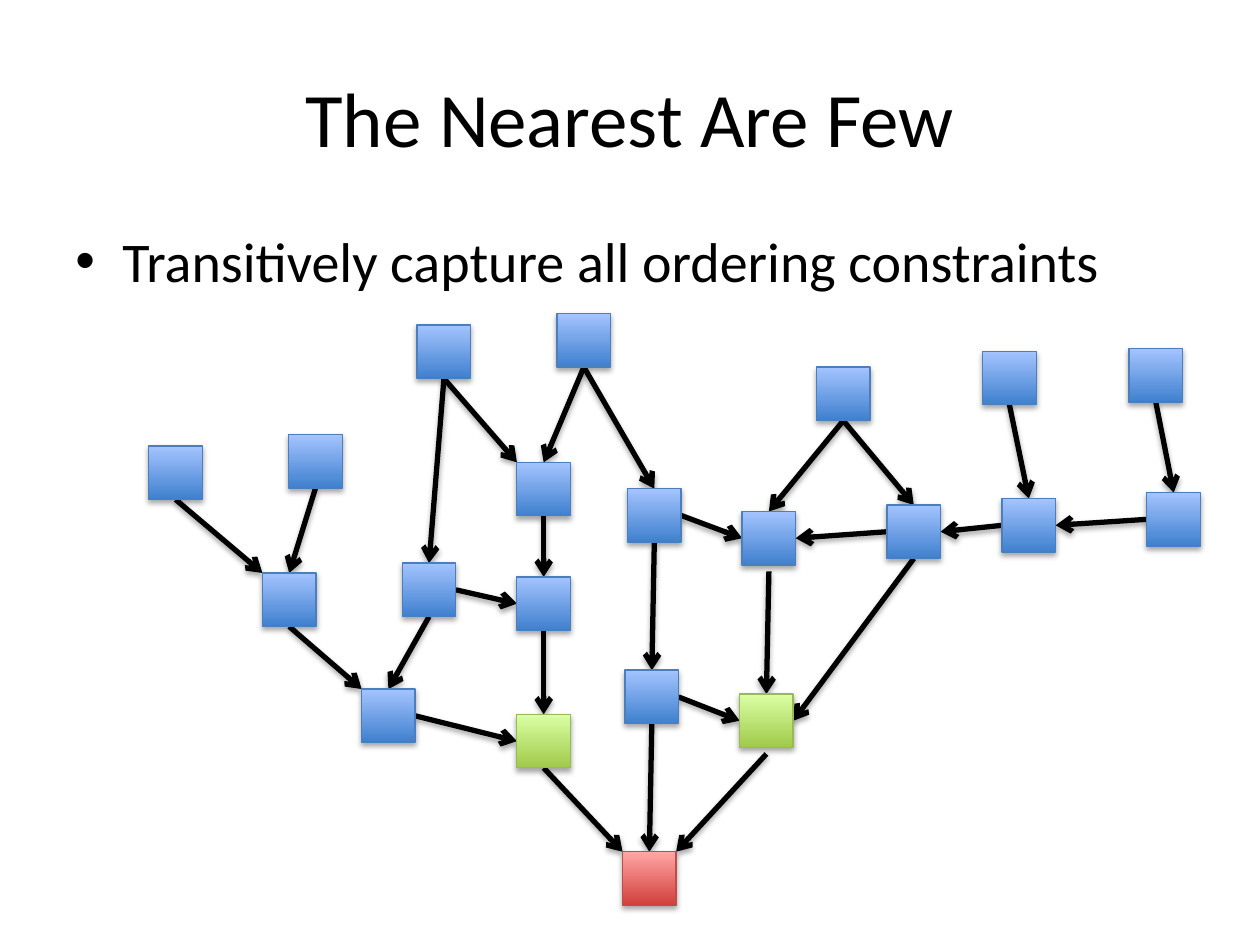
from lxml import etree
from pptx import Presentation
from pptx.dml.color import RGBColor
from pptx.enum.shapes import MSO_CONNECTOR, MSO_SHAPE
from pptx.enum.text import MSO_ANCHOR, PP_ALIGN
from pptx.oxml import parse_xml
from pptx.oxml.ns import qn
from pptx.util import Cm, Pt

RECT, STRAIGHT = MSO_SHAPE.RECTANGLE, MSO_CONNECTOR.STRAIGHT
TOP, MIDDLE = MSO_ANCHOR.TOP, MSO_ANCHOR.MIDDLE
LEFT, CENTER = PP_ALIGN.LEFT, PP_ALIGN.CENTER
NS = "http://schemas.openxmlformats.org/drawingml/2006/main"

COLORS = {"text": "000000", "edge": "000000"}
NODE_COLORS = {  # bottom, top, outline
    "blue": ("3F80CE", "A4C4FF", "4B7EBC"),
    "green": ("A0CA4A", "DAFFA5", "98B955"),
    "red": ("D1403C", "FFA6A5", "BF4C48"),
}
SIDE = 1.08

# Top left corner of each node in cm, row by row; inputs are in1 to in7
NODES = {
    "in1": (0, 2.67), "in2": (2.82, 2.44), "in3": (5.41, 0.23), "in4": (8.23, 0),
    "in5": (13.46, 1.08), "in6": (16.81, 0.76), "in7": (19.76, 0.71),
    "up1": (7.42, 3), "up2": (9.65, 3.53), "up3": (11.96, 3.99),
    "up4": (14.88, 3.86), "up5": (17.2, 3.73), "up6": (20.12, 3.61),
    "mid1": (2.29, 5.23), "mid2": (5.11, 5.03), "mid3": (7.42, 5.31),
    "low1": (4.29, 7.57), "low2": (9.6, 7.19),
    "near1": (7.42, 8.08), "near2": (11.91, 7.67), "goal": (9.55, 10.85),
}
KINDS = {"near1": "green", "near2": "green", "goal": "red"}

# Points on a node, as fractions of its side
ANCHORS = {
    "top": (0.5, 0), "bottom": (0.5, 1), "below": (0.5, 1.12),
    "left": (0, 0.5), "right": (1, 0.5), "top left": (0, 0), "top right": (1, 0),
}
EDGES = [
    ("in1", "bottom", "mid1", "top left"), ("in2", "bottom", "mid1", "top"),
    ("in3", "bottom", "mid2", "top"), ("in3", "bottom", "up1", "top left"),
    ("in4", "bottom", "up1", "top"), ("in4", "bottom", "up2", "top"),
    ("in5", "bottom", "up3", "top"), ("in5", "bottom", "up4", "top"),
    ("in6", "bottom", "up5", "top"), ("in7", "bottom", "up6", "top"),
    ("up6", "left", "up5", "right"), ("up5", "left", "up4", "right"),
    ("up4", "left", "up3", "right"), ("up2", "right", "up3", "left"),
    ("up1", "bottom", "mid3", "top"), ("up2", "bottom", "low2", "top"),
    ("up3", "below", "near2", "top"), ("up4", "bottom", "near2", "right"),
    ("mid1", "bottom", "low1", "top left"), ("mid2", "bottom", "low1", "top"),
    ("mid2", "right", "mid3", "left"), ("mid3", "bottom", "near1", "top"),
    ("low1", "right", "near1", "left"), ("low2", "right", "near2", "left"),
    ("near1", "bottom", "goal", "top left"), ("low2", "bottom", "goal", "top"),
    ("near2", "below", "goal", "top right"),
]


def rgb(value):
    return RGBColor.from_string(value)


def add_shadow(sp):
    """Soft shadow straight below; call after fill and line are set."""
    sp._element.spPr.append(parse_xml(
        f'<a:effectLst xmlns:a="{NS}"><a:outerShdw blurRad="40000" dist="23000" '
        'dir="5400000" rotWithShape="0"><a:srgbClr val="000000">'
        '<a:alpha val="35000"/></a:srgbClr></a:outerShdw></a:effectLst>'))


def add_text(s, box, text, size, align, anchor):
    tf = s.shapes.add_textbox(*(Cm(v) for v in box)).text_frame
    tf.word_wrap, tf.vertical_anchor = True, anchor
    p = tf.paragraphs[0]
    p.alignment = align
    r = p.add_run()
    r.text = text
    for name, value in {"name": "Calibri", "size": Pt(size)}.items():
        setattr(r.font, name, value)
    r.font.color.rgb = rgb(COLORS["text"])
    return p


def add_bullet(s, box, text):
    p = add_text(s, box, text, 32, LEFT, TOP)
    p.space_before = Pt(6.4)
    pPr = p._p.get_or_add_pPr()
    indent = Cm(0.95)
    pPr.set("marL", str(indent))
    pPr.set("indent", str(-indent))
    etree.SubElement(pPr, qn("a:buFont")).set("typeface", "Arial")
    etree.SubElement(pPr, qn("a:buChar")).set("char", "•")


def add_node(s, x, y, kind):
    bottom, top, outline = NODE_COLORS[kind]
    sp = s.shapes.add_shape(RECT, Cm(x), Cm(y), Cm(SIDE), Cm(SIDE))
    sp.fill.gradient()
    sp.fill.gradient_angle = 90
    for stop, color, position in zip(sp.fill.gradient_stops, (bottom, top), (0, 1)):
        stop.color.rgb = rgb(color)
        stop.position = position
    sp.line.color.rgb = rgb(outline)
    sp.line.width = Pt(0.75)
    add_shadow(sp)


def add_arrow(s, start, end):
    line = s.shapes.add_connector(STRAIGHT, *(Cm(v) for v in start + end))
    line.line.color.rgb = rgb(COLORS["edge"])
    line.line.width = Pt(3)
    etree.SubElement(line.line._get_or_add_ln(), qn("a:tailEnd")).set("type", "arrow")
    add_shadow(line)


def add_graph(s, left, top):
    def point(node, anchor):
        (x, y), (fx, fy) = NODES[node], ANCHORS[anchor]
        return left + x + fx * SIDE, top + y + fy * SIDE

    for source, leave, target, enter in EDGES:
        add_arrow(s, point(source, leave), point(target, enter))
    for name, (x, y) in NODES.items():
        add_node(s, left + x, top + y, KINDS.get(name, "blue"))


def main():
    prs = Presentation()
    prs.slide_width, prs.slide_height = Cm(25.4), Cm(19.05)
    s = prs.slides.add_slide(prs.slide_layouts[6])
    add_text(s, (1.27, 0.76, 22.86, 3.18), "The Nearest Are Few", 44, CENTER, MIDDLE)
    add_graph(s, 3, 6.32)
    add_bullet(s, (1.27, 4.45, 23.47, 3.63),
               "Transitively capture all ordering constraints")
    prs.save("out.pptx")


if __name__ == "__main__":
    main()
